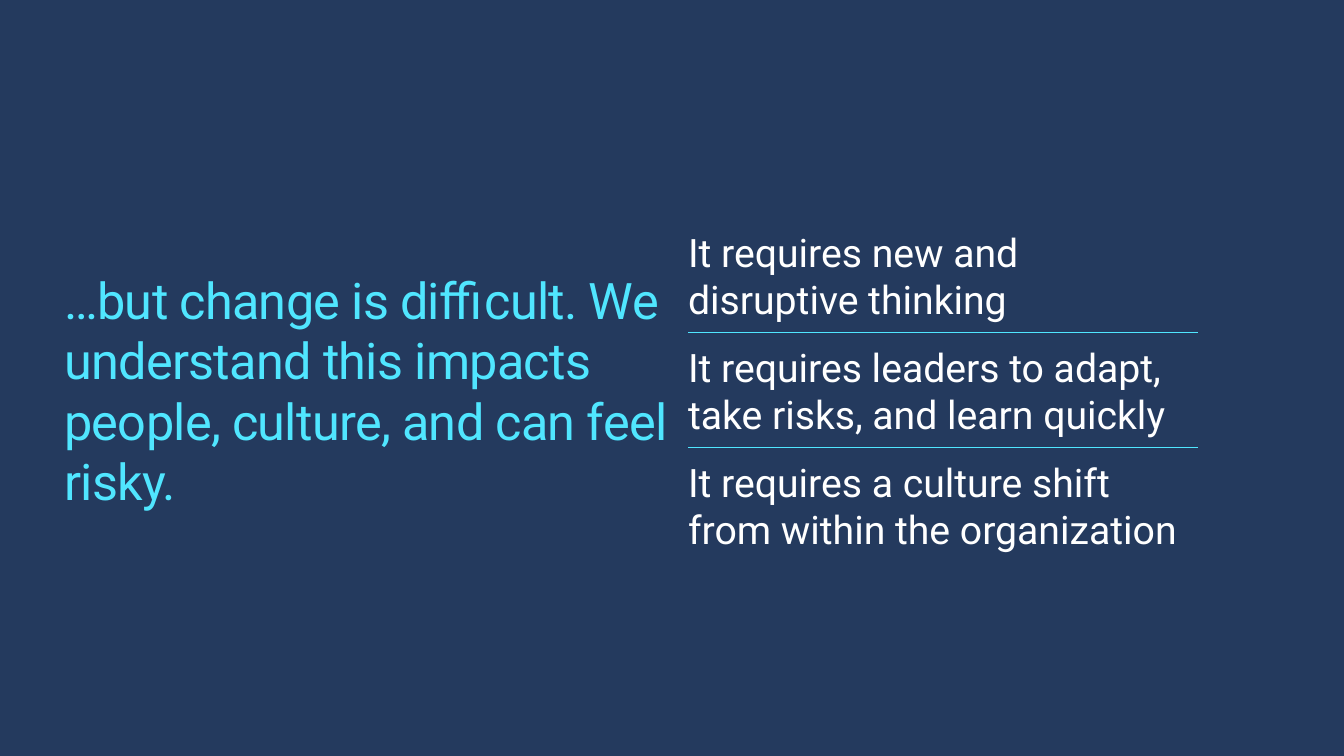
import pptx
import pptx.util
import pptx.dml.color
import pptx.enum.shapes
import pptx.enum.text
import pptx.oxml.ns
import lxml.etree

Pt = pptx.util.Pt
NAVY = pptx.dml.color.RGBColor(0x24, 0x3A, 0x5E)
CYAN = pptx.dml.color.RGBColor(0x50, 0xE6, 0xFF)
WHITE = pptx.dml.color.RGBColor(0xFF, 0xFF, 0xFF)


def add_text(s, text, left, top, width, height, size, color):
    tf = s.shapes.add_textbox(Pt(left), Pt(top), Pt(width), Pt(height)).text_frame
    tf.word_wrap = True
    tf.vertical_anchor = pptx.enum.text.MSO_ANCHOR.MIDDLE
    tf.margin_left = tf.margin_right = tf.margin_top = tf.margin_bottom = 0
    r = tf.paragraphs[0].add_run()
    r.text = text
    r.font.name = "Roboto"
    r.font.size = Pt(size)
    r.font.color.rgb = color
    return r


prs = pptx.Presentation()
prs.slide_width = Pt(960)
prs.slide_height = Pt(540)
s = prs.slides.add_slide(prs.slide_layouts[6])
s.background.fill.solid()
s.background.fill.fore_color.rgb = NAVY

r = add_text(
    s,
    "…but change is difficult. We understand this impacts people, culture, and can feel risky.",
    46, 191.5, 434, 174, 36, CYAN,
)
r.font._element.set("spc", "-50")

requirements = [
    ("It requires new and disruptive thinking", 312),
    ("It requires leaders to adapt, take risks, and learn quickly", 381.5),
    ("It requires a culture shift from within the organization", 364.5),
]
column_left, column_right = 491.5, 856
first_top, row_step, row_height = 162.8, 82, 67.8

for i, (text, width) in enumerate(requirements):
    top = first_top + i * row_step
    add_text(s, text, column_left, top, width, row_height, 28, WHITE)

for i in range(len(requirements) - 1):
    y = first_top + i * row_step + (row_height + row_step) / 2
    rule = s.shapes.add_connector(
        pptx.enum.shapes.MSO_CONNECTOR.STRAIGHT,
        Pt(column_left), Pt(y), Pt(column_right), Pt(y),
    )
    rule.line.color.rgb = CYAN
    rule.line.width = Pt(1)
    lxml.etree.SubElement(rule._element.spPr, pptx.oxml.ns.qn("a:effectLst"))

prs.save("out.pptx")
